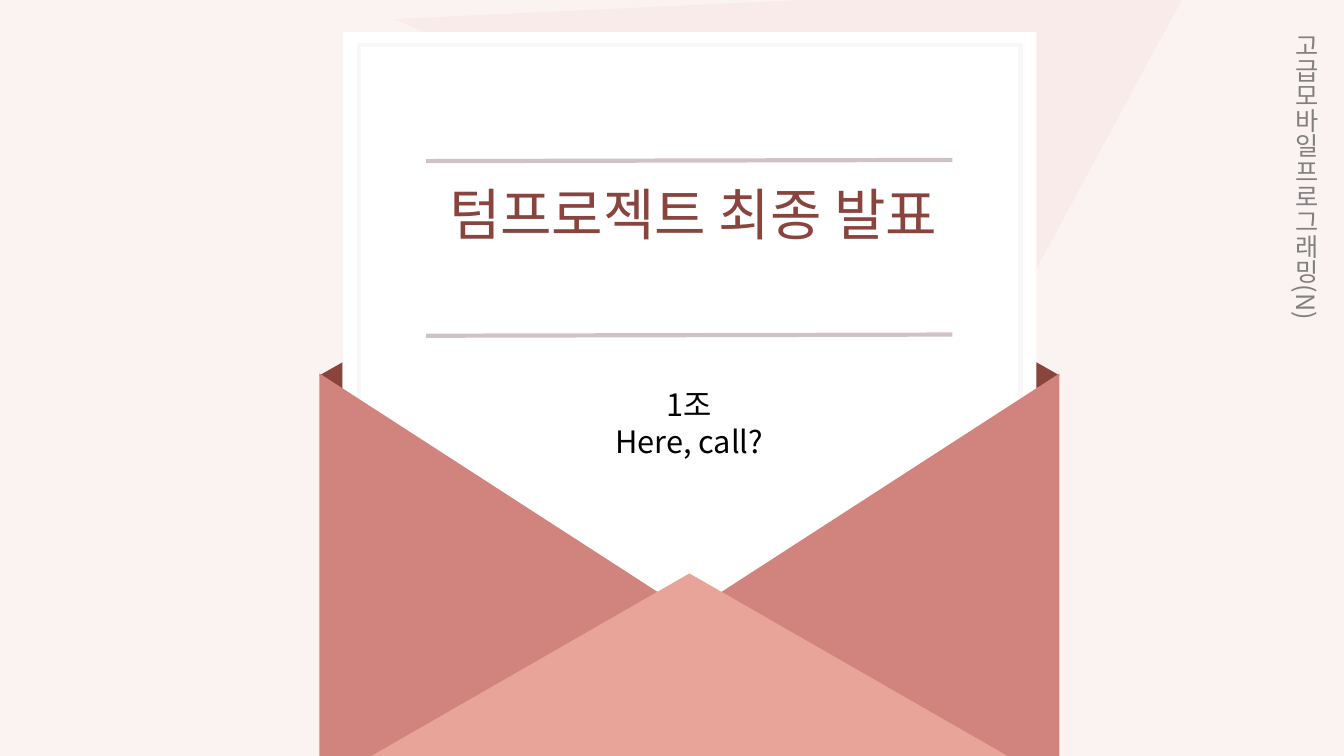
from collections import namedtuple
from dataclasses import dataclass

from lxml import etree
from pptx import Presentation
from pptx.dml.color import RGBColor
from pptx.enum import shapes, text
from pptx.oxml import ns
from pptx.util import Cm, Pt

Box = namedtuple("Box", "left top width height")


@dataclass(frozen=True)
class Theme:
    font: str = "Noto Sans CJK KR"
    background: str = "FBF3F1"
    beam: str = "F9EBEA"
    paper: str = "FFFFFF"
    frame: str = "F9F7F8"
    rule: str = "D1C1C9"
    lining: str = "89443D"
    side_flap: str = "D1847E"
    front_flap: str = "E9A49A"
    title: str = "89443D"
    team: str = "000000"
    course: str = "808080"
    title_size: int = 40
    team_size: int = 22
    course_size: int = 18
    line_width: int = 3


THEME = Theme()


def lengths(box):
    return [Cm(value) for value in box]


def paint(shape, fill=None, line=None):
    shape.shadow.inherit = False
    if fill:
        shape.fill.solid()
        shape.fill.fore_color.rgb = RGBColor.from_string(fill)
    else:
        shape.fill.background()
    if line:
        shape.line.color.rgb = RGBColor.from_string(line)
        shape.line.width = Pt(THEME.line_width)
    else:
        shape.line.fill.background()


def add_rectangle(parent, box, fill=None, line=None):
    shape = parent.add_shape(shapes.MSO_SHAPE.RECTANGLE, *lengths(box))
    paint(shape, fill, line)


def add_triangle(parent, box, fill, rotation=0, apex=0.5):
    """Fill the visible box with a triangle turned by rotation degrees."""
    left, top, width, height = box
    if rotation in (90, 270):
        left, top = left + (width - height) / 2, top + (height - width) / 2
        width, height = height, width
    shape = parent.add_shape(shapes.MSO_SHAPE.ISOSCELES_TRIANGLE,
                             *lengths((left, top, width, height)))
    shape.adjustments[0] = apex
    shape.rotation = rotation
    paint(shape, fill)


def add_rule(parent, left, right, top):
    """Draw a rule that rises very slightly to the right."""
    rule = parent.add_connector(shapes.MSO_CONNECTOR.STRAIGHT,
                                *lengths((left, top, right, top - 0.03)))
    rule.line.color.rgb = RGBColor.from_string(THEME.rule)
    rule.line.width = Pt(THEME.line_width)
    properties = rule.element.find(ns.qn("p:spPr"))
    etree.SubElement(properties, ns.qn("a:effectLst"))


def write(shape, box, lines, size, color, align):
    for name, value in zip(Box._fields, lengths(box)):
        setattr(shape, name, value)
    frame = shape.text_frame
    frame_format = {"text": "\n".join(lines), "word_wrap": True,
                    "auto_size": text.MSO_AUTO_SIZE.SHAPE_TO_FIT_TEXT,
                    "vertical_anchor": text.MSO_ANCHOR.TOP}
    for name, value in frame_format.items():
        setattr(frame, name, value)
    font_format = {"name": THEME.font, "size": Pt(size), "bold": False}
    for paragraph in frame.paragraphs:
        paragraph.alignment = align
        paragraph.space_before = Pt(0)
        for run in paragraph.runs:
            for name, value in font_format.items():
                setattr(run.font, name, value)
            run.font.color.rgb = RGBColor.from_string(color)
            properties = run.font._element
            etree.SubElement(properties, ns.qn("a:ea"), typeface=THEME.font)


def draw_backdrop(parent, box):
    add_rectangle(parent, box, THEME.background)
    corners = [(Cm(box.left + x), Cm(box.top + y))
               for x, y in ((9.95, 0.48), (30.03, -0.46), (25.73, 7.49))]
    builder = parent.build_freeform(*corners[0], scale=1.0)
    builder.add_line_segments(corners[1:], close=True)
    paint(builder.convert_to_shape(), THEME.beam)


def draw_letter(parent, box):
    add_rectangle(parent, box, THEME.paper)
    side = box.width - 0.8
    add_rectangle(parent, Box(box.left + 0.4, box.top + 0.33, side, side),
                  line=THEME.frame)


def draw_envelope(parent, box):
    group = parent.add_group_shape().shapes
    right = box.left + box.width
    tip_width, tip_height = 0.58, 0.66
    flap_width, flap_top, apex = 9.22, box.top + 0.28, 0.533
    flap_height = box.height - 0.28
    for tip_left, flap_left, tip_turn, flap_turn, flap_apex in (
            (right - tip_width, right - flap_width, 90, 270, 1 - apex),
            (box.left, box.left, 270, 90, apex)):
        add_triangle(group, Box(tip_left, box.top, tip_width, tip_height),
                     THEME.lining, tip_turn)
        add_triangle(group, Box(flap_left, flap_top, flap_width, flap_height),
                     THEME.side_flap, flap_turn, flap_apex)
    inset = 0.3
    add_triangle(group, Box(box.left + inset, box.top + 5.32,
                            box.width - 2 * inset, 5.18), THEME.front_flap)


def write_letter(slide, box):
    """Set the title and team placeholders on the letter, with two rules."""
    title, team = slide.placeholders
    for placeholder in (title, team):
        slide.shapes.element.append(placeholder.element)
    center = text.PP_ALIGN.CENTER
    write(title, Box(box.left + 1.06, box.top + 3.58, 15.54, 1.93),
          ["텀프로젝트 최종 발표"], THEME.title_size, THEME.title, center)
    write(team, Box(box.left + 2.05, box.top + 8.79, 13.36, 2.08),
          ["1조", "Here, call?"], THEME.team_size, THEME.team, center)
    for top in (3.25, 7.65):
        add_rule(slide.shapes, box.left + 2.1, box.left + 15.36, box.top + top)


def write_course(parent, box):
    course = parent.add_textbox(*lengths(box))
    write(course, box, ["고급모바일프로그래밍(N)"], THEME.course_size,
          THEME.course, text.PP_ALIGN.LEFT)
    body = course.element.find(".//" + ns.qn("a:bodyPr"))
    body.set("vert", "eaVert")


def main():
    presentation = Presentation()
    page = Box(0, 0, 33.87, 19.05)
    presentation.slide_width = Cm(page.width)
    presentation.slide_height = Cm(page.height)
    slide = presentation.slides.add_slide(presentation.slide_layouts[0])
    letter = Box(8.64, 0.81, 17.48, 17.48)
    draw_backdrop(slide.shapes, page)
    draw_letter(slide.shapes, letter)
    draw_envelope(slide.shapes, Box(8.05, 9.13, 18.65, 11.46))
    write_letter(slide, letter)
    write_course(slide.shapes, Box(32.16, 0.58, 1.27, 11.33))
    presentation.save("out.pptx")


if __name__ == "__main__":
    main()
